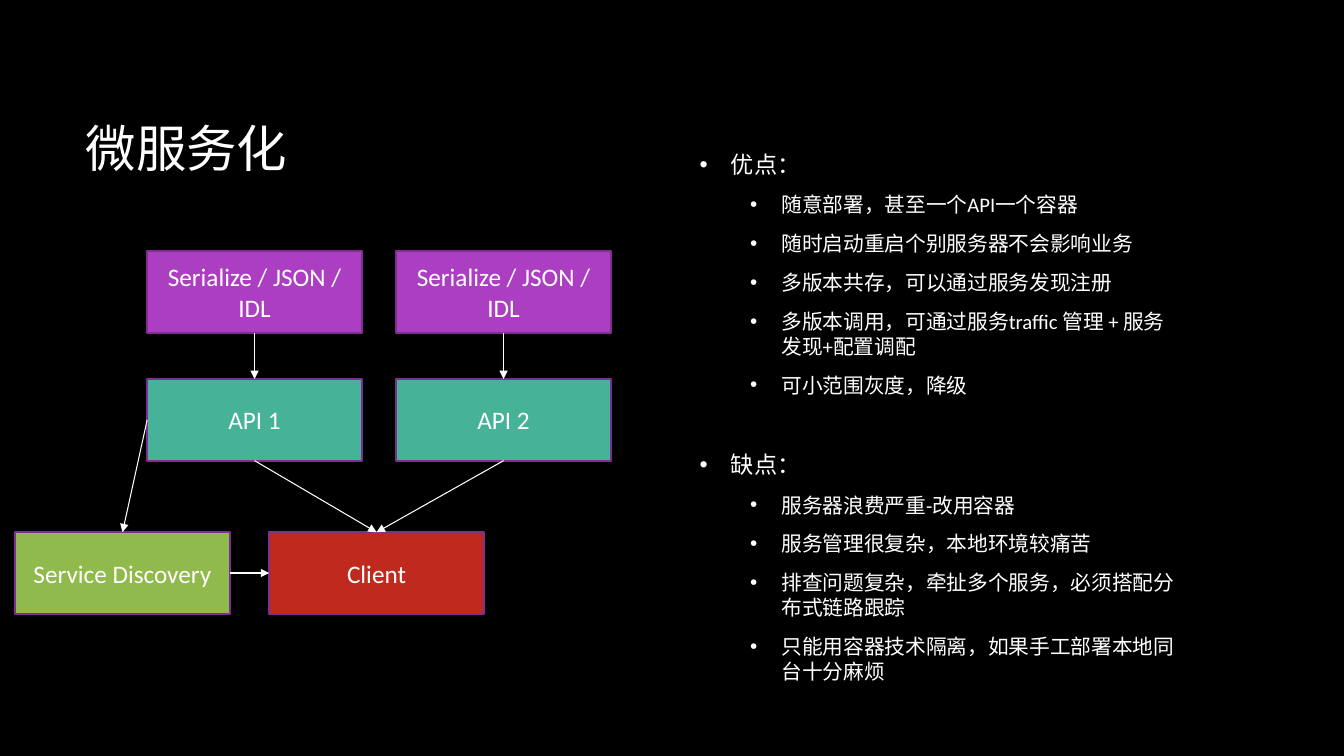
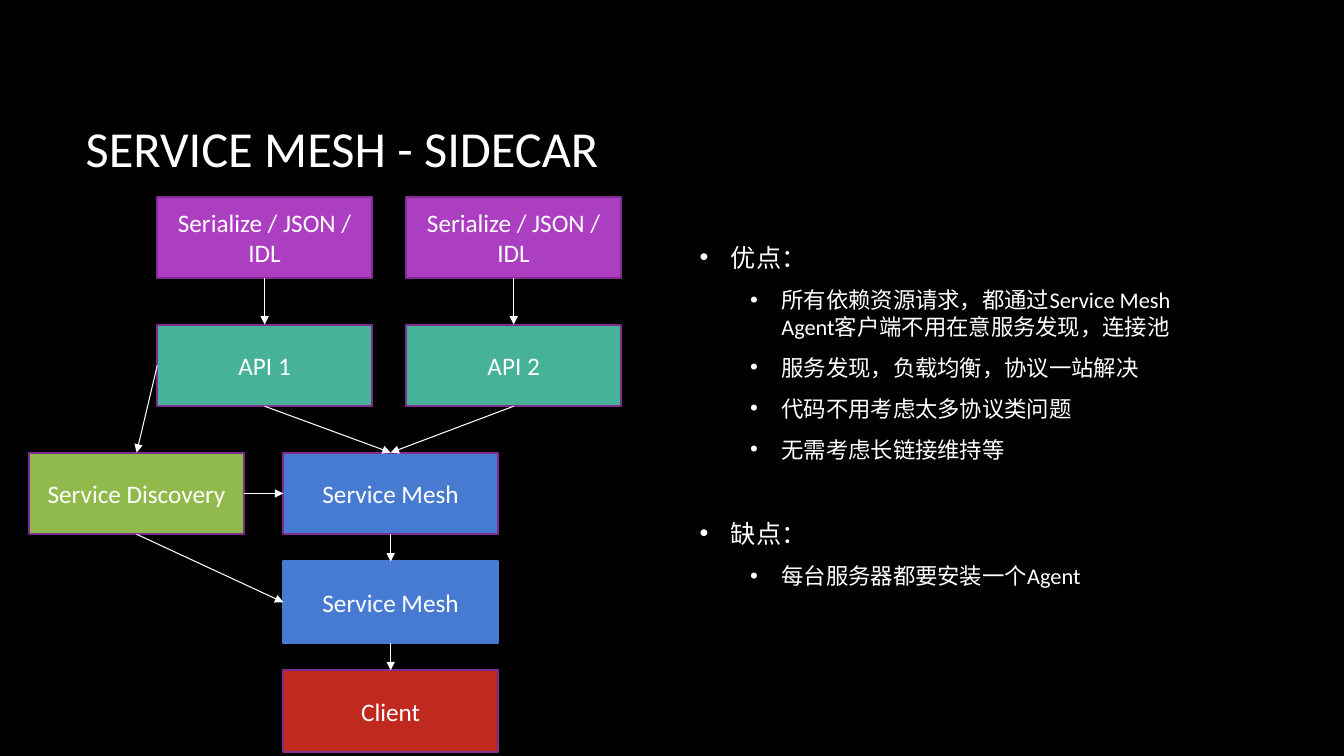
"""Build two slides comparing microservices with a service mesh sidecar."""
import dataclasses

import lxml.etree
import pptx
import pptx.dml.color
import pptx.enum.shapes
import pptx.enum.text
import pptx.oxml.ns
import pptx.util

Inches, Pt = pptx.util.Inches, pptx.util.Pt
RGB = pptx.dml.color.RGBColor.from_string
qn = pptx.oxml.ns.qn
ANCHOR = pptx.enum.text.MSO_ANCHOR
ALIGN = pptx.enum.text.PP_ALIGN


@dataclasses.dataclass(frozen=True)
class Theme:
    font: str = "Calibri"
    back: str = "000000"
    text: str = "FFFFFF"
    edge: str = "7F2E8F"
    serialize: str = "AC3EC1"
    api: str = "46B298"
    discovery: str = "90BA4C"
    mesh: str = "477BD1"
    client: str = "C02A1E"
    title_size: float = 36
    box_size: float = 18
    space_after: float = 10
    line_height: float = 1.22


T = Theme()
BOX_W, BOX_H = 2.13, 0.81
COL, ROW = 2.47, 1.27
LOWER_COL, STACK_ROW = 2.52, 1.08
BODY_LEFT, BODY_W, BODY_BOTTOM = 6.84, 4.99, 7.15
TOP, LEFT, BOTTOM, RIGHT = range(4)

CLIENT = ("Client", T.client, T.edge)
LINKS = [
    (0, BOTTOM, 1, TOP), (2, BOTTOM, 3, TOP),
    (1, BOTTOM, 5, TOP), (3, BOTTOM, 5, TOP),
    (4, RIGHT, 5, LEFT), (1, LEFT, 4, TOP),
]

SLIDES = [
    dict(
        title="微服务化",
        upper=(1.46, 2.49), lower=(0.15, 5.28),
        stack=[CLIENT], links=LINKS,
        body_top=1.44, sizes=(16.6, 14.8),
        lists={
            "优点：": [
                "随意部署，甚至一个API一个容器",
                "随时启动重启个别服务器不会影响业务",
                "多版本共存，可以通过服务发现注册",
                "多版本调用，可通过服务traffic 管理 + 服务发现+配置调配",
                "可小范围灰度，降级",
            ],
            "缺点：": [
                "服务器浪费严重-改用容器",
                "服务管理很复杂，本地环境较痛苦",
                "排查问题复杂，牵扯多个服务，必须搭配分布式链路跟踪",
                "只能用容器技术隔离，如果手工部署本地同台十分麻烦",
            ],
        },
    ),
    dict(
        title="SERVICE MESH - SIDECAR",
        upper=(1.56, 1.95), lower=(0.29, 4.49),
        stack=[("Service Mesh", T.mesh, T.edge), ("Service Mesh", T.mesh, T.mesh), CLIENT],
        links=LINKS + [(5, BOTTOM, 6, TOP), (6, BOTTOM, 7, TOP), (4, BOTTOM, 6, LEFT)],
        body_top=2.35, sizes=(18, 16),
        lists={
            "优点：": [
                "所有依赖资源请求，都通过Service Mesh Agent客户端不用在意服务发现，连接池",
                "服务发现，负载均衡，协议一站解决",
                "代码不用考虑太多协议类问题",
                "无需考虑长链接维持等",
            ],
            "缺点：": ["每台服务器都要安装一个Agent"],
        },
    ),
]


def style(p, size, align):
    p.alignment = align
    for r in p.runs:
        r.font.name = T.font
        r.font.size = Pt(size)
        r.font.color.rgb = RGB(T.text)


def bullet(p, level):
    pPr = p._p.get_or_add_pPr()
    pPr.set("marL", str(Inches(0.31 + 0.5 * level)))
    pPr.set("indent", str(Inches(-0.31)))
    clr = lxml.etree.SubElement(pPr, qn("a:buClr"))
    lxml.etree.SubElement(clr, qn("a:srgbClr"), val=T.text)
    lxml.etree.SubElement(pPr, qn("a:buFont"), typeface="Arial")
    lxml.etree.SubElement(pPr, qn("a:buChar"), char="•")


prs = pptx.Presentation()
prs.slide_width, prs.slide_height = Inches(13.33), Inches(7.5)
fill = prs.slide_master.background.fill
fill.solid()
fill.fore_color.rgb = RGB(T.back)
layout = prs.slide_layouts[1]
title = layout.placeholders[0]
title.left, title.top, title.width, title.height = map(Inches, (0.75, 0.67, 11.08, 1.59))

for data in SLIDES:
    s = prs.slides.add_slide(layout)
    tf = s.shapes.title.text_frame
    tf.text = data["title"]
    tf.vertical_anchor = ANCHOR.MIDDLE
    tf.auto_size = pptx.enum.text.MSO_AUTO_SIZE.NONE
    style(tf.paragraphs[0], T.title_size, ALIGN.LEFT)

    body = s.placeholders[1]
    body.left, body.top = Inches(BODY_LEFT), Inches(data["body_top"])
    body.width, body.height = Inches(BODY_W), Inches(BODY_BOTTOM - data["body_top"])
    tf = body.text_frame
    tf.vertical_anchor = ANCHOR.TOP
    tf.auto_size = pptx.enum.text.MSO_AUTO_SIZE.NONE
    lines = [(text, level) for head, items in data["lists"].items()
             for text, level in [(head, 0)] + [(item, 1) for item in items]]
    tf.text = "\n".join(text for text, level in lines)
    group_gap = data["sizes"][1] * T.line_height + T.space_after
    for i, (p, (text, level)) in enumerate(zip(tf.paragraphs, lines)):
        p.level = level
        p.line_spacing = 1.0
        p.space_before = Pt(group_gap if i and level == 0 else 0)
        p.space_after = Pt(T.space_after)
        style(p, data["sizes"][level], ALIGN.LEFT)
        bullet(p, level)

    x, y = data["upper"]
    lx, ly = data["lower"]
    boxes = []
    for col in range(2):
        boxes.append((x + col * COL, y, "Serialize / JSON / IDL", T.serialize, T.edge))
        boxes.append((x + col * COL, y + ROW, f"API {col + 1}", T.api, T.edge))
    boxes.append((lx, ly, "Service Discovery", T.discovery, T.edge))
    for row, box in enumerate(data["stack"]):
        boxes.append((lx + LOWER_COL, ly + row * STACK_ROW, *box))

    shapes = []
    for left, top, text, color, edge in boxes:
        sp = s.shapes.add_shape(pptx.enum.shapes.MSO_SHAPE.RECTANGLE,
                                *map(Inches, (left, top, BOX_W, BOX_H)))
        sp.shadow.inherit = False
        sp.fill.solid()
        sp.fill.fore_color.rgb = RGB(color)
        sp.line.color.rgb = RGB(edge)
        sp.line.width = Pt(1.5)
        tf = sp.text_frame
        tf.text = text
        tf.word_wrap = True
        tf.vertical_anchor = ANCHOR.MIDDLE
        style(tf.paragraphs[0], T.box_size, ALIGN.CENTER)
        shapes.append(sp)

    for start, start_side, end, end_side in data["links"]:
        c = s.shapes.add_connector(pptx.enum.shapes.MSO_CONNECTOR.STRAIGHT, 0, 0, 0, 0)
        c.begin_connect(shapes[start], start_side)
        c.end_connect(shapes[end], end_side)
        c.line.color.rgb = RGB(T.text)
        c.line.width = Pt(0.75)
        spPr = c._element.spPr
        lxml.etree.SubElement(spPr.find(qn("a:ln")), qn("a:tailEnd"), type="triangle")
        lxml.etree.SubElement(spPr, qn("a:effectLst"))

prs.save("out.pptx")
